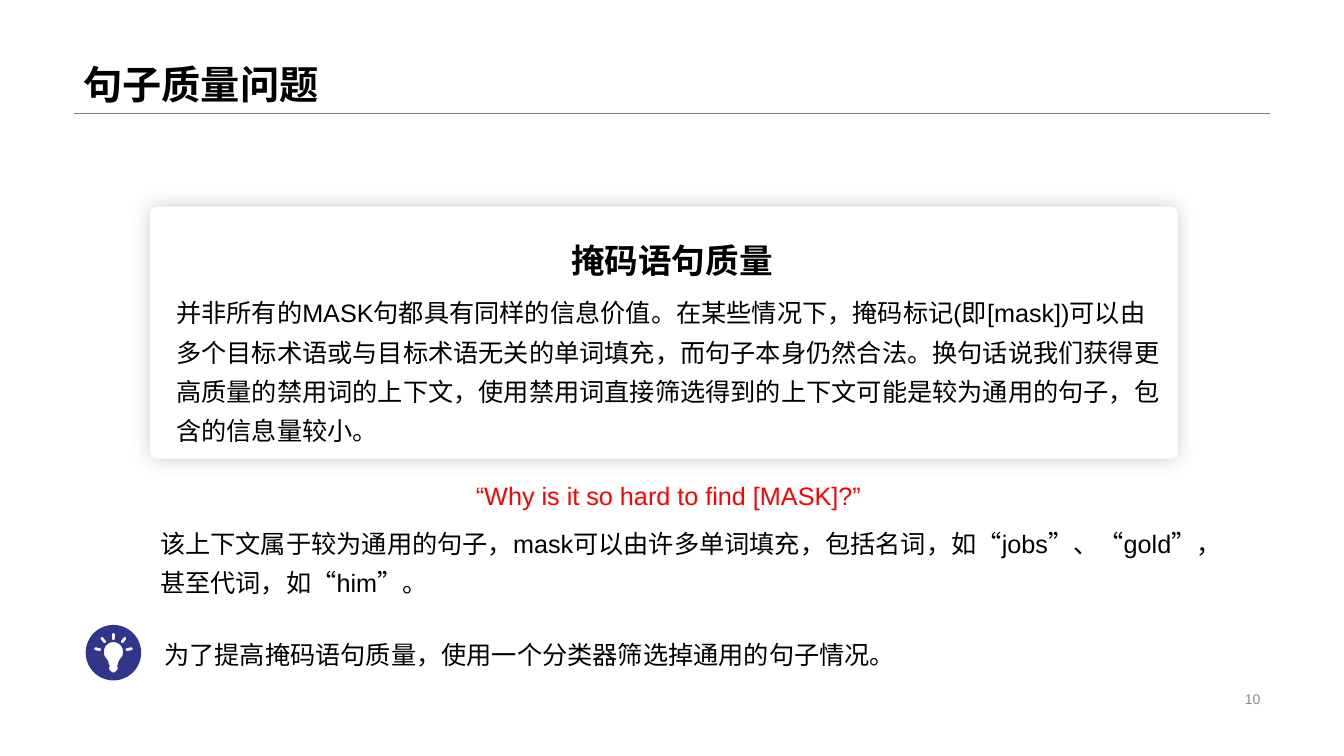
from dataclasses import dataclass
from math import cos, pi, radians, sin

from lxml import etree
from pptx import Presentation
from pptx.dml.color import RGBColor
from pptx.enum.shapes import MSO_CONNECTOR, MSO_SHAPE
from pptx.enum.text import MSO_ANCHOR, MSO_AUTO_SIZE, PP_ALIGN
from pptx.oxml import parse_xml
from pptx.oxml.ns import nsdecls, qn
from pptx.util import Inches, Pt

STRAIGHT = MSO_CONNECTOR.STRAIGHT
ROUNDED = MSO_SHAPE.ROUNDED_RECTANGLE
TOP, MIDDLE, BOTTOM = MSO_ANCHOR.TOP, MSO_ANCHOR.MIDDLE, MSO_ANCHOR.BOTTOM
LEFT, CENTER, RIGHT = PP_ALIGN.LEFT, PP_ALIGN.CENTER, PP_ALIGN.RIGHT
GROW, FIXED = MSO_AUTO_SIZE.SHAPE_TO_FIT_TEXT, MSO_AUTO_SIZE.NONE


@dataclass(frozen=True)
class Theme:
    font: str = "Arial"
    ink: str = "000000"
    paper: str = "FFFFFF"
    accent: str = "FF0000"
    icon: str = "303689"
    rule: str = "808080"
    muted: str = "8C8C8C"
    title: int = 28
    heading: int = 24
    body: int = 18
    number: int = 10


@dataclass
class Line:
    """One paragraph with its look."""
    text: str
    size: int
    color: str
    bold: bool = False
    align: int = LEFT
    spacing: float = 1.3
    after: int = 6


class SlideWriter:
    def __init__(self, page, theme):
        self.page, self.theme = page, theme

    def text(self, left, top, width, height, lines, anchor=TOP, fit=FIXED):
        box = self.page.shapes.add_textbox(
            Inches(left), Inches(top), Inches(width), Inches(height))
        frame = box.text_frame
        frame.word_wrap = True
        frame.auto_size = fit
        frame.vertical_anchor = anchor
        for index, line in enumerate(lines):
            para = frame.add_paragraph() if index else frame.paragraphs[0]
            para.text = line.text
            para.alignment = line.align
            para.line_spacing = line.spacing
            para.space_after = Pt(line.after)
            para.font.name = self.theme.font
            para.font.size = Pt(line.size)
            para.font.bold = line.bold
            para.font.color.rgb = RGBColor.from_string(line.color)

    def rule(self, left, right, y):
        line = self.page.shapes.add_connector(
            STRAIGHT, Inches(left), Inches(y), Inches(right), Inches(y))
        line.line.color.rgb = RGBColor.from_string(self.theme.rule)
        line.line.width = Pt(0.25)
        etree.SubElement(line._element.spPr, qn("a:effectLst"))

    def card(self, left, top, width, height):
        card = self.page.shapes.add_shape(
            ROUNDED, Inches(left), Inches(top), Inches(width), Inches(height))
        card.adjustments[0] = 0.023
        self.paint(card, self.theme.paper)
        # Soft shadow, even on all sides
        effects = card._element.spPr.find(qn("a:effectLst"))
        effects.append(parse_xml(
            f'<a:outerShdw {nsdecls("a")} blurRad="{Pt(15)}" dist="0" algn="ctr" '
            'rotWithShape="0"><a:srgbClr val="000000"><a:alpha val="20000"/>'
            '</a:srgbClr></a:outerShdw>'))

    def outline(self, contours, color):
        builder = None
        for contour in contours:
            points = [(Inches(x), Inches(y)) for x, y in contour]
            if builder is None:
                builder = self.page.shapes.build_freeform(*points[0])
            else:
                builder.move_to(*points[0])
            builder.add_line_segments(points[1:], close=True)
        self.paint(builder.convert_to_shape(), color)

    def paint(self, shape, color):
        shape.shadow.inherit = False
        shape.fill.solid()
        shape.fill.fore_color.rgb = RGBColor.from_string(color)
        shape.line.fill.background()


def arc(x, y, radius, start, end, steps):
    """Points on a circle, from start to end degrees, clockwise."""
    angles = [radians(start + (end - start) * i / steps) for i in range(steps + 1)]
    return [(x + radius * cos(a), y + radius * sin(a)) for a in angles]


def ray(x, y, radius, degrees):
    """A short round-ended stroke that points away from (x, y)."""
    angle = radians(degrees)
    inner, outer = [(x + r * cos(angle), y + r * sin(angle))
                    for r in (radius - 0.02, radius + 0.02)]
    return (arc(*outer, 0.015, degrees - 90, degrees + 90, 8)
            + arc(*inner, 0.015, degrees + 90, degrees + 270, 8))


def light_bulb(x, y):
    """A disc with a bulb and five rays cut out of it."""
    half = [(0.09, 0.03), (0.065, 0.065), (0.05, 0.09), (0.045, 0.12), (0.035, 0.13),
            (0.045, 0.145), (0.04, 0.155), (0.045, 0.165), (0.03, 0.18), (0.015, 0.195)]
    neck = half + [(-dx, dy) for dx, dy in reversed(half)]
    bulb = arc(x, y - 0.01, 0.095, 180, 360, 24) + [(x + dx, y + dy) for dx, dy in neck]
    rays = [ray(x, y, 0.16, 270 + step * 38.75) for step in range(-2, 3)]
    return [arc(x, y, 0.275, 0, 360, 72), bulb, *rays]


def main():
    deck = Presentation()
    deck.slide_width, deck.slide_height = Inches(13.33), Inches(7.5)
    theme = Theme()
    writer = SlideWriter(deck.slides.add_slide(deck.slide_layouts[6]), theme)

    def body(text, color=theme.ink, align=LEFT):
        return Line(text, theme.body, color, align=align)

    # Title and slide number
    writer.rule(0.73, 12.6, 1.12)
    writer.text(0.73, 0, 11.87, 1.12, [
        Line("句子质量问题", theme.title, theme.ink, True, spacing=0.9, after=0)], BOTTOM)
    writer.text(9.42, 6.82, 3.18, 0.23, [
        Line("10", theme.number, theme.muted, align=RIGHT, spacing=1.0, after=0)], MIDDLE)

    # Card on the quality of masked sentences
    writer.card(1.49, 2.05, 10.19, 2.5)
    writer.text(1.65, 2.21, 10.03, 2.42, [
        Line("掩码语句质量", theme.heading, theme.ink, True, CENTER),
        body("并非所有的MASK句都具有同样的信息价值。在某些情况下，掩码标记(即[mask])可以"
             "由多个目标术语或与目标术语无关的单词填充，而句子本身仍然合法。换句话说我们获得"
             "更高质量的禁用词的上下文，使用禁用词直接筛选得到的上下文可能是较为通用的句子，"
             "包含的信息量较小。")])

    # Example and its reading
    writer.text(1.65, 4.63, 10.03, 0.45, [
        body("“Why is it so hard to find [MASK]?” ", theme.accent, CENTER)], fit=GROW)
    writer.text(1.49, 5.1, 10.52, 0.85, [
        body("该上下文属于较为通用的句子，mask可以由许多单词填充，包括名词，"
             "如“jobs”、“gold”，甚至代词，如“him”。")], fit=GROW)

    # Remedy, with the light bulb
    writer.text(1.53, 6.2, 10.48, 0.46, [
        body("为了提高掩码语句质量，使用一个分类器筛选掉通用的句子情况。")], fit=GROW)
    writer.outline(light_bulb(1.125, 6.475), theme.icon)

    deck.save("out.pptx")


if __name__ == "__main__":
    main()
